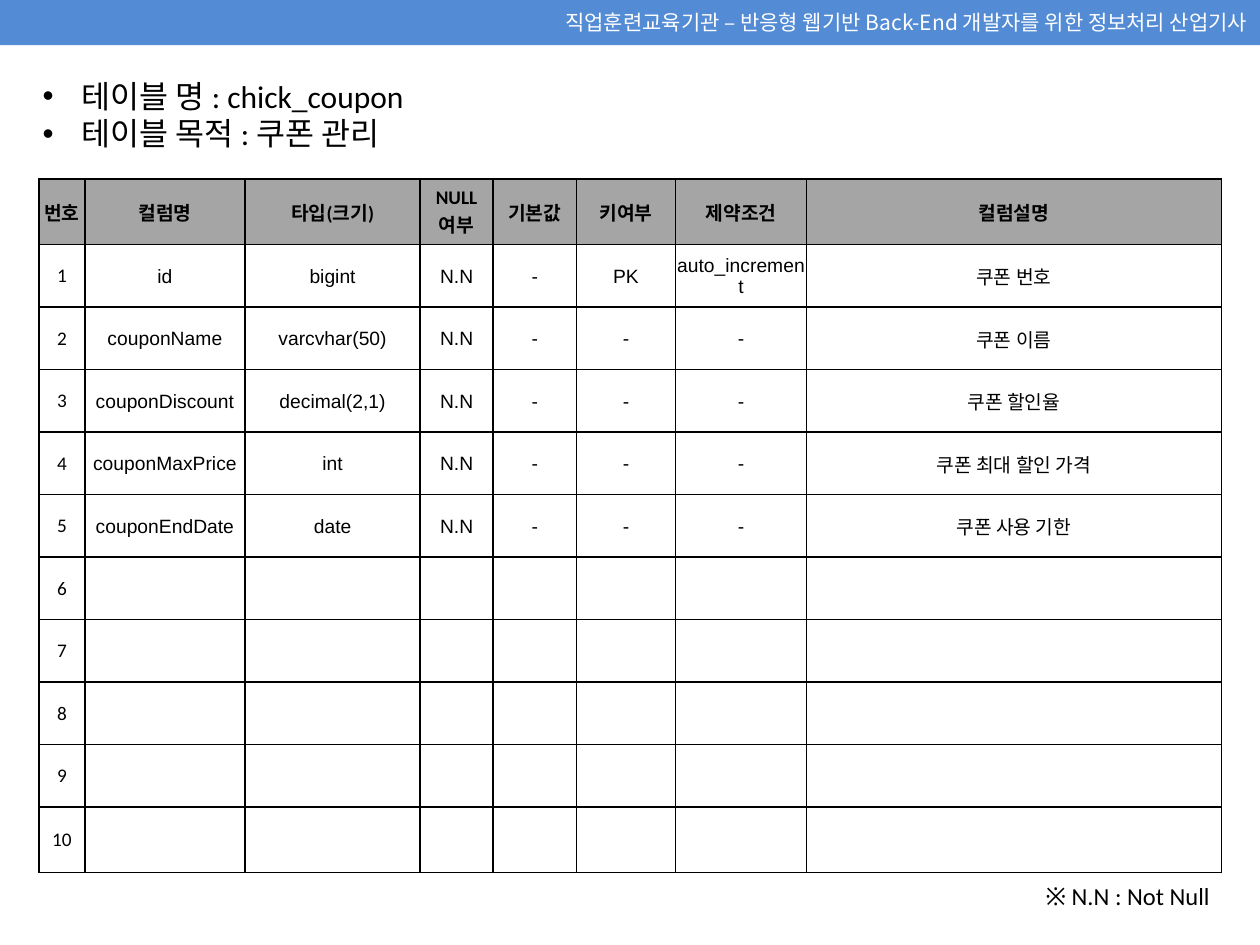
from lxml import etree
from pptx import Presentation
from pptx import util as u
from pptx.dml.color import RGBColor
from pptx.enum import shapes, text
from pptx.oxml import ns

BLUE = RGBColor(0x53, 0x8C, 0xD5)
GRAY = RGBColor(0xA5, 0xA5, 0xA5)
BLACK = RGBColor(0, 0, 0)
WHITE = RGBColor(0xFF, 0xFF, 0xFF)
KOREAN = "Noto Sans CJK KR"


def style(para, size, face, color, align, bold=False):
    para.alignment = align
    for run in para.runs:
        font = run.font
        font.size, font.name, font.bold = u.Pt(size), face, bold
        font.color.rgb = color
        east = etree.SubElement(run._r.get_or_add_rPr(), ns.qn("a:ea"))
        east.set("typeface", KOREAN)


def border(cell):
    props = cell._tc.get_or_add_tcPr()
    for side in ("lnL", "lnR", "lnT", "lnB"):
        line = etree.SubElement(props, ns.qn("a:" + side), w=str(u.Pt(1)))
        fill = etree.SubElement(line, ns.qn("a:solidFill"))
        etree.SubElement(fill, ns.qn("a:srgbClr"), val=str(BLACK))


LEFT, MID, RIGHT = text.PP_ALIGN.LEFT, text.PP_ALIGN.CENTER, text.PP_ALIGN.RIGHT

deck = Presentation()
deck.slide_width, deck.slide_height = u.Cm(25.4), u.Cm(19.05)
slide = deck.slides.add_slide(deck.slide_layouts[6])

banner = slide.shapes.add_shape(
    shapes.MSO_SHAPE.RECTANGLE, 0, 0, deck.slide_width, u.Cm(0.91))
banner.shadow.inherit = False
banner.fill.solid()
banner.fill.fore_color.rgb = BLUE
banner.line.fill.background()
frame = banner.text_frame
frame.text = "직업훈련교육기관 – 반응형 웹기반 Back-End 개발자를 위한 정보처리 산업기사"
frame.vertical_anchor = text.MSO_ANCHOR.MIDDLE
style(frame.paragraphs[0], 12, KOREAN, WHITE, RIGHT)

intro = slide.shapes.add_textbox(u.Cm(0.61), u.Cm(1.42), u.Cm(24.1), u.Cm(1.8))
frame = intro.text_frame
frame.word_wrap = True
frame.text = "테이블 명 : chick_coupon\n테이블 목적 : 쿠폰 관리"
for para in frame.paragraphs:
    props = para._p.get_or_add_pPr()
    props.set("marL", str(u.Cm(0.79)))
    props.set("indent", str(-u.Cm(0.79)))
    etree.SubElement(props, ns.qn("a:buFont"), typeface="Arial")
    etree.SubElement(props, ns.qn("a:buChar"), char="•")
    style(para, 18, "Calibri", BLACK, LEFT)

HEAD = ["번호", "컬럼명", "타입(크기)", "NULL 여부", "기본값", "키여부", "제약조건", "컬럼설명"]
FIELDS = [
    ["id", "bigint", "N.N", "-", "PK", "auto_increment", "쿠폰 번호"],
    ["couponName", "varcvhar(50)", "N.N", "-", "-", "-", "쿠폰 이름"],
    ["couponDiscount", "decimal(2,1)", "N.N", "-", "-", "-", "쿠폰 할인율"],
    ["couponMaxPrice", "int", "N.N", "-", "-", "-", "쿠폰 최대 할인 가격"],
    ["couponEndDate", "date", "N.N", "-", "-", "-", "쿠폰 사용 기한"],
]
WIDTHS = [0.92, 3.23, 3.53, 1.47, 1.68, 2.0, 2.64, 8.36]
HEIGHTS = [1.32] + [1.26] * 9 + [1.32]

table = slide.shapes.add_table(
    len(HEIGHTS), len(WIDTHS), u.Cm(0.79), u.Cm(3.61),
    u.Cm(sum(WIDTHS)), u.Cm(sum(HEIGHTS))).table
table.first_row = table.horz_banding = False
for col, width in zip(table.columns, WIDTHS):
    col.width = u.Cm(width)
for row, height in zip(table.rows, HEIGHTS):
    row.height = u.Cm(height)

blank = [""] * len(FIELDS[0])
lines = [HEAD]
for num in range(1, len(HEIGHTS)):
    lines.append([str(num)] + (FIELDS[num - 1] if num <= len(FIELDS) else blank))

for r, line in enumerate(lines):
    for c, word in enumerate(line):
        cell = table.cell(r, c)
        cell.margin_left = cell.margin_right = cell.margin_top = u.Cm(0.02)
        cell.margin_bottom = 0
        cell.vertical_anchor = text.MSO_ANCHOR.MIDDLE
        border(cell)
        if r == 0:
            cell.fill.solid()
            cell.fill.fore_color.rgb = GRAY
        else:
            cell.fill.background()
        if word:
            cell.text_frame.text = word
            face = "Calibri" if r == 0 or c == 0 else "Arial"
            style(cell.text_frame.paragraphs[0], 11, face, BLACK, MID, r == 0)

note = slide.shapes.add_textbox(u.Cm(20.7), u.Cm(17.63), u.Cm(3.94), u.Cm(0.86))
note.text_frame.word_wrap = True
note.text_frame.text = "※ N.N : Not Null"
style(note.text_frame.paragraphs[0], 14, "Calibri", BLACK, RIGHT)

deck.save("out.pptx")
